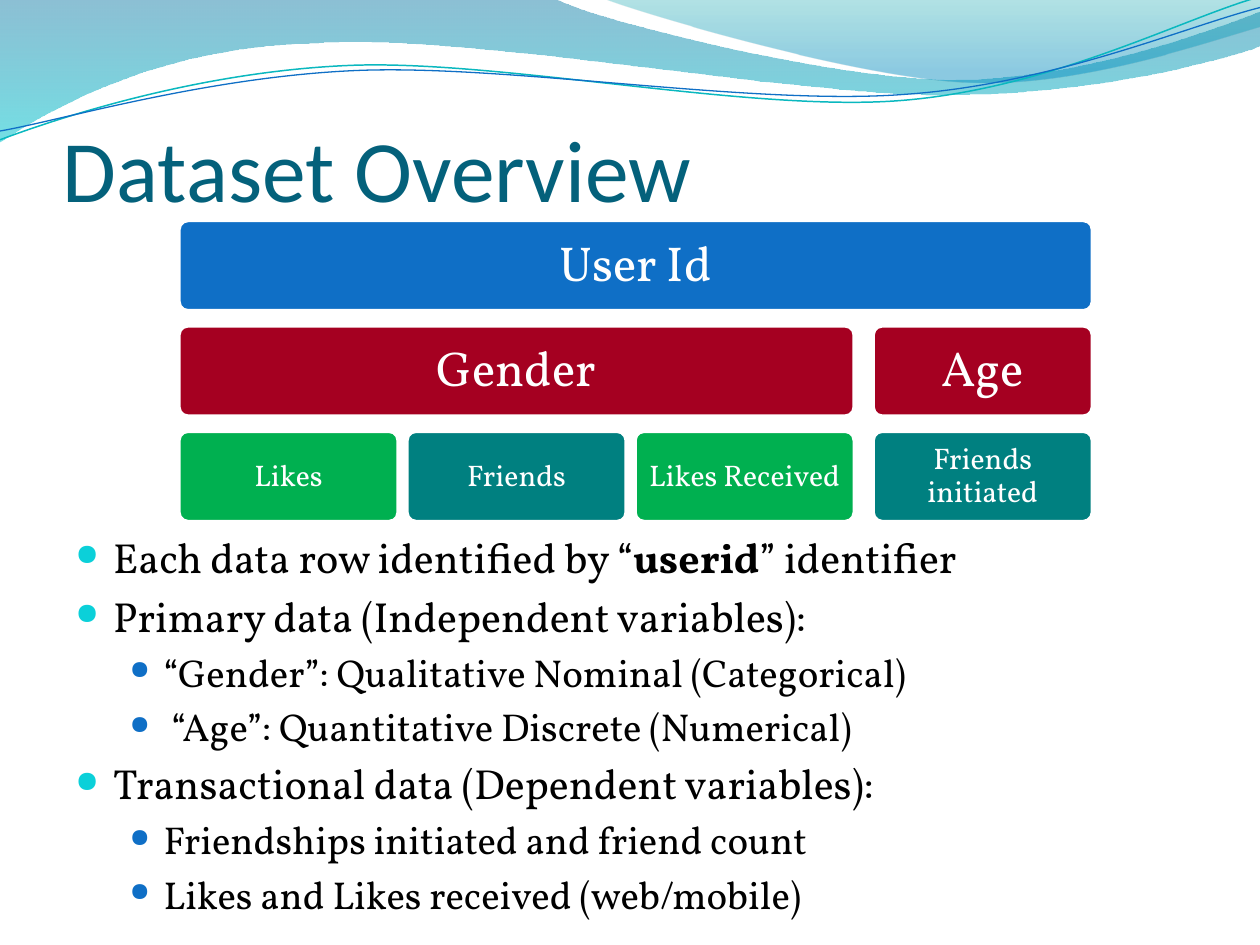
from lxml.etree import SubElement
from pptx import Presentation
from pptx.dml.color import RGBColor
from pptx.enum.shapes import MSO_SHAPE
from pptx.enum.text import MSO_ANCHOR, PP_ALIGN
from pptx.oxml.ns import qn
from pptx.util import Inches, Pt

WIDTH, HEIGHT = 10, 7.5
HEADING_FONT, BODY_FONT = "Calibri", "Vollkorn"
COLORS = {
    "title": "04617B", "text": "000000", "white": "FFFFFF",
    "blue": "0F6FC6", "red": "A50021", "green": "00B050", "teal": "008080",
    "cyan": "0BD0D9", "wave_line": "0AB8BF",
    "deep": "0074A1", "aqua": "00C6CF", "sea": "00A1A9", "sky": "008BBF",
}
UNITS_PER_INCH = 100

# Waves: a two-number tuple is a corner, a six-number tuple is a Bezier curve
WIDE_WAVE = [(0, 0), (4.4, -0.01), (4.76, 0.17, 6.64, 0.63, 7.58, 0.63),
             (8.53, 0.63, 9.58, 0.26, 10, 0.09), (10.01, 0.36),
             (9.83, 0.44, 8.7, 0.76, 7.46, 0.75),
             (6.22, 0.75, 3.82, 0.28, 2.57, 0.34),
             (1.29, 0.36, 0.46, 0.83, -0.01, 1.13)]
RIGHT_WAVE = [(4.79, -0.01), (5.09, 0.11, 6.82, 0.62, 7.69, 0.65),
              (8.56, 0.69, 9.61, 0.32, 10, 0.21), (10, 0)]
UPPER_LINE = [(0, 1.11), (0.48, 0.93, 1.58, 0.57, 2.77, 0.52),
              (3.95, 0.47, 5.93, 0.89, 7.13, 0.8),
              (8.33, 0.71, 9.38, 0.15, 9.98, -0.02)]
LOWER_LINE = [(0, 1.04), (0.47, 0.96, 1.64, 0.61, 2.83, 0.56),
              (4.03, 0.51, 5.97, 0.84, 7.17, 0.75),
              (8.36, 0.67, 9.41, 0.21, 10, 0.06)]

# Hierarchy: label, row, first column, columns spanned, color
TILES = [
    ("User Id", 0, 0, 4, "blue"),
    ("Gender", 1, 0, 3, "red"), ("Age", 1, 3, 1, "red"),
    ("Likes", 2, 0, 1, "green"), ("Friends", 2, 1, 1, "teal"),
    ("Likes Received", 2, 2, 1, "green"), ("Friends initiated", 2, 3, 1, "teal"),
]

# Bullets: level, text pieces (every second piece is bold)
BULLETS = [
    (0, ["Each data row identified by “", "userid", "” identifier"]),
    (0, ["Primary data (Independent variables):"]),
    (1, ["“Gender”: Qualitative Nominal (Categorical)"]),
    (1, [" “Age”: Quantitative Discrete (Numerical)"]),
    (0, ["Transactional data (Dependent variables):"]),
    (1, ["Friendships initiated and friend count"]),
    (1, ["Likes and Likes received (web/mobile)"]),
]
# Level styles: text size, left margin, hanging indent, bullet color, bullet percent
LEVELS = [(24, 0.3, 0.3, "cyan", 71), (22.2, 0.7, 0.27, "blue", 66)]


def rgb(name):
    return RGBColor.from_string(COLORS[name])


def style(span, size, color, font=BODY_FONT, bold=False):
    span.font.size, span.font.name, span.font.bold = Pt(size), font, bold
    span.font.color.rgb = rgb(color)


def set_margins(frame, left, top, right, bottom):
    frame.margin_left, frame.margin_top = Inches(left), Inches(top)
    frame.margin_right, frame.margin_bottom = Inches(right), Inches(bottom)


def add_outline(page, outline, closed):
    points = [(round(x * UNITS_PER_INCH), round(y * UNITS_PER_INCH))
              for step in outline for x, y in zip(step[::2], step[1::2])]
    builder = page.shapes.build_freeform(*points[0], scale=Inches(1) / UNITS_PER_INCH)
    builder.add_line_segments(points[1:], close=closed)
    shape = builder.convert_to_shape()
    shape.shadow.inherit = False
    # Join each three segments of a curve into one Bezier
    segments = iter(list(shape._element.spPr.iter(qn("a:lnTo"))))
    for step in outline[1:]:
        group = [next(segments) for _ in range(len(step) // 2)]
        if len(group) == 3:
            curve = SubElement(group[0].getparent(), qn("a:cubicBezTo"))
            group[0].addprevious(curve)
            for segment in group:
                curve.append(segment[0])
                segment.getparent().remove(segment)
    return shape


def add_wave(page, outline, stops):
    wave = add_outline(page, outline, True)
    wave.line.fill.background()
    wave.fill.gradient()
    wave.fill.gradient_angle = 270
    for stop, (position, color, _) in zip(wave.fill.gradient_stops, stops):
        stop.position, stop.color.rgb = position, rgb(color)
    for node, (_, _, opacity) in zip(wave._element.spPr.iter(qn("a:srgbClr")), stops):
        SubElement(node, qn("a:alpha"), val=str(opacity * 1000))


def add_wave_line(page, outline, color, width):
    line = add_outline(page, outline, False)
    line.fill.background()
    line.line.color.rgb, line.line.width = rgb(color), Pt(width)


def add_header(page):
    add_wave(page, WIDE_WAVE, [(0, "deep", 45), (1, "aqua", 55)])
    add_wave(page, RIGHT_WAVE, [(0, "sea", 30), (0.8, "sky", 45)])
    add_wave_line(page, UPPER_LINE, "wave_line", 0.85)
    add_wave_line(page, LOWER_LINE, "blue", 0.75)


def add_text_area(page, box):
    frame = page.shapes.add_textbox(*map(Inches, box)).text_frame
    frame.word_wrap = True
    return frame


def add_title(page, box, text):
    frame = add_text_area(page, box)
    frame.vertical_anchor = MSO_ANCHOR.BOTTOM
    set_margins(frame, 0, 0.05, 0, 0)
    frame.text = text
    style(frame.paragraphs[0].runs[0], 50, "title", HEADING_FONT)


def add_hierarchy(page, box):
    left, top, width, height = box
    gap, group_gap, row_gap = 0.07, 0.15, 0.12
    cell = (width - 2 * gap - group_gap) / 4
    row_height = (height - 2 * row_gap) / 3
    starts = [column * (cell + gap) for column in range(3)] + [width - cell]
    for label, row, column, span_count, color in TILES:
        tile_width = starts[column + span_count - 1] + cell - starts[column]
        tile = page.shapes.add_shape(
            MSO_SHAPE.ROUNDED_RECTANGLE, Inches(left + starts[column]),
            Inches(top + row * (row_height + row_gap)),
            Inches(tile_width), Inches(row_height))
        tile.adjustments[0] = 0.1
        tile.shadow.inherit = False
        tile.fill.solid()
        tile.fill.fore_color.rgb = rgb(color)
        tile.line.color.rgb, tile.line.width = rgb("white"), Pt(2)
        frame = tile.text_frame
        frame.word_wrap, frame.vertical_anchor = True, MSO_ANCHOR.MIDDLE
        size, inset = (17, 0.07) if row == 2 else (28, 0.12)
        set_margins(frame, inset, inset, inset, inset)
        frame.text = label
        para = frame.paragraphs[0]
        para.alignment, para.line_spacing = PP_ALIGN.CENTER, 0.9
        style(para.runs[0], size, "white")


def add_bullets(page, box):
    frame = add_text_area(page, box)
    for index, (level, pieces) in enumerate(BULLETS):
        size, margin, indent, color, percent = LEVELS[level]
        para = frame.add_paragraph() if index else frame.paragraphs[0]
        para.level, para.space_before = level, Pt(round(size * 0.2, 1))
        for number, piece in enumerate(pieces):
            span = para.add_run()
            span.text = piece
            style(span, size, "text", bold=number % 2 == 1)
        # Bullet mark
        props = para._p.get_or_add_pPr()
        props.set("marL", str(Inches(margin)))
        props.set("indent", str(-Inches(indent)))
        SubElement(SubElement(props, qn("a:buClr")), qn("a:srgbClr"), val=COLORS[color])
        SubElement(props, qn("a:buSzPct"), val=str(percent * 1000))
        SubElement(props, qn("a:buChar"), char="●")


def main():
    deck = Presentation()
    deck.slide_width, deck.slide_height = Inches(WIDTH), Inches(HEIGHT)
    page = deck.slides.add_slide(deck.slide_layouts[6])
    margin = WIDTH * 0.05
    content_width = WIDTH - 2 * margin
    add_header(page)
    add_title(page, (margin, 0.5, content_width, 1.25), "Dataset Overview")
    add_bullets(page, (margin, 4.17, content_width, 2.92))
    add_hierarchy(page, (1.42, 1.75, 7.25, 2.39))
    deck.save("out.pptx")


if __name__ == "__main__":
    main()
